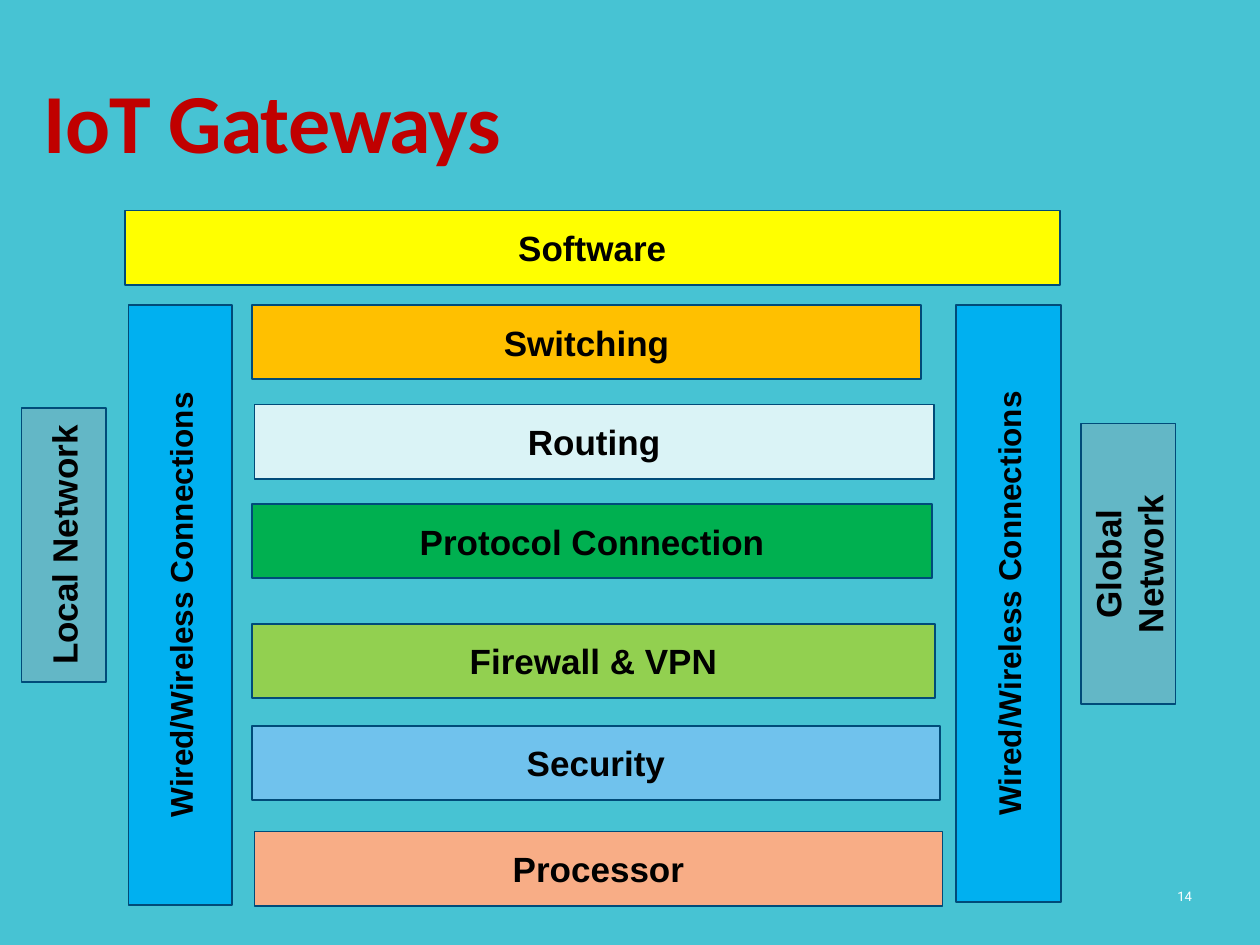
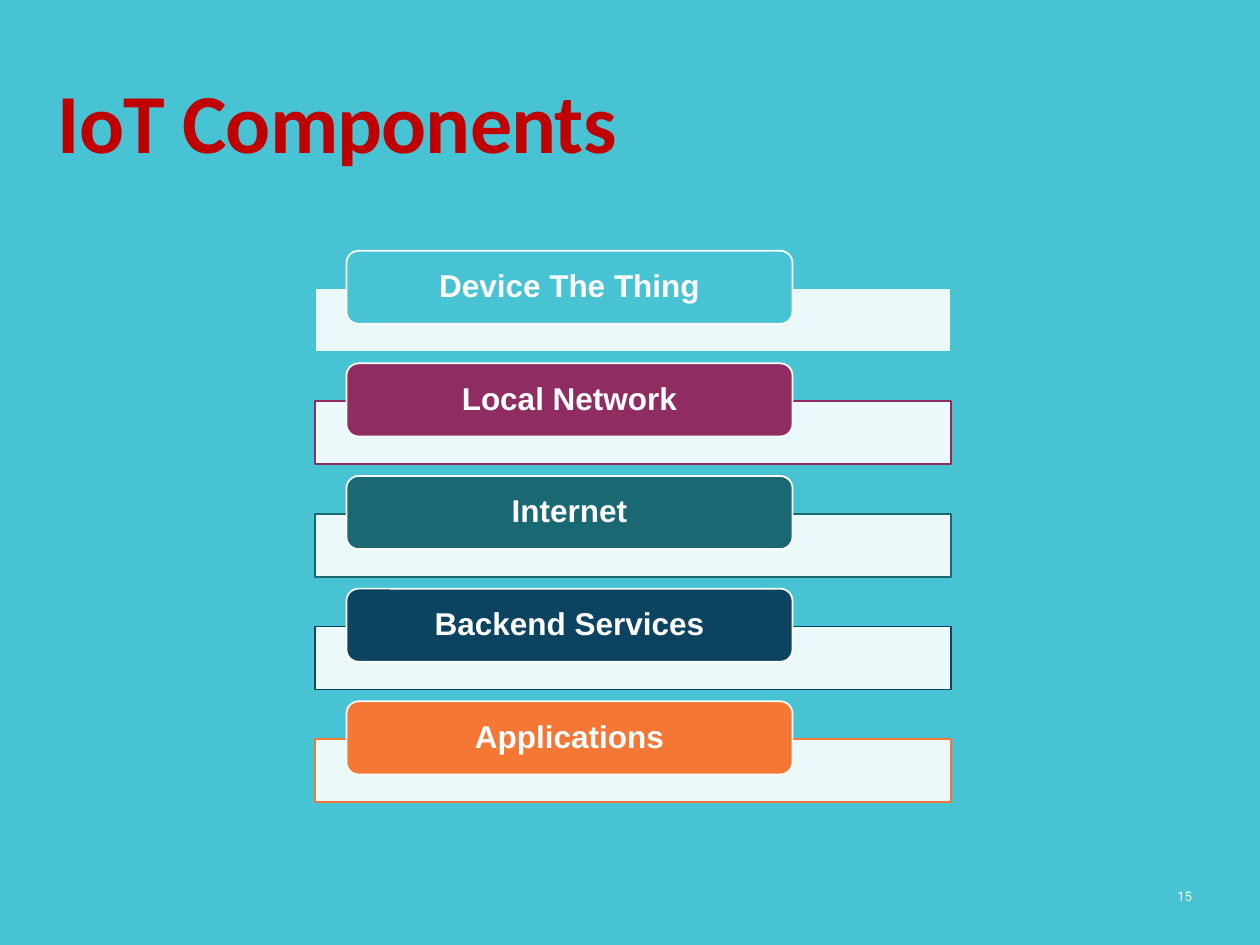
from lxml import etree
from pptx import Presentation
from pptx.dml.color import RGBColor
from pptx.enum.shapes import MSO_SHAPE
from pptx.enum.text import MSO_ANCHOR, PP_ALIGN
from pptx.oxml.ns import qn
from pptx.util import Inches, Pt

RECTANGLE, ROUNDED = MSO_SHAPE.RECTANGLE, MSO_SHAPE.ROUNDED_RECTANGLE
LEFT, CENTER, RIGHT = PP_ALIGN.LEFT, PP_ALIGN.CENTER, PP_ALIGN.RIGHT
TOP, MIDDLE = MSO_ANCHOR.TOP, MSO_ANCHOR.MIDDLE

# The slide is a grid of 10 columns by 7.5 rows of square cells.
COLUMNS, ROWS = 10, 7.5
CELL = Inches(1)

COLORS = {
    "background": "47C3D3", "title": "C00000", "white": "FFFFFF",
    "black": "000000", "outline": "004B79", "network": "63B7C6",
    "connection": "00B0F0", "yellow": "FFFF00", "amber": "FFC000",
    "ice": "DAF3F6", "green": "00B050", "lime": "92D050",
    "sky": "70C2ED", "peach": "F8AD86", "plum": "8F2D63",
    "teal": "1A6871", "navy": "0C4360", "orange": "F47735",
}

# Label, fill, column, row, width
GATEWAY_LAYERS = [
    ("Software", "yellow", 0.99, 1.67, 7.42),
    ("Switching", "amber", 2, 2.42, 5.31),
    ("Routing", "ice", 2.02, 3.21, 5.39),
    ("Protocol Connection", "green", 2, 4, 5.4),
    ("Firewall & VPN", "lime", 2, 4.95, 5.42),
    ("Security", "sky", 2, 5.76, 5.46),
    ("Processor", "peach", 2.02, 6.6, 5.46),
]
LAYER_HEIGHT = 0.59

# Label, fill, text size, upright area (column, row, width, height)
GATEWAY_SIDES = [
    ("Local Network", "network", 20, (0.17, 3.24, 0.67, 2.17)),
    ("Wired/Wireless Connections", "connection", 18, (1.02, 2.42, 0.82, 4.76)),
    ("Wired/Wireless Connections", "connection", 18, (7.59, 2.42, 0.83, 4.74)),
    ("Global Network", "network", 20, (8.58, 3.36, 0.75, 2.23)),
]

COMPONENTS = [
    ("Device The Thing", "background"),
    ("Local Network", "plum"),
    ("Internet", "teal"),
    ("Backend Services", "navy"),
    ("Applications", "orange"),
]
COMPONENT_TOP, COMPONENT_STEP = 1.99, 0.894


def color(name):
    return RGBColor.from_string(COLORS[name])


def grid(*lengths):
    return [round(length * CELL) for length in lengths]


def write(shape, text, size, ink="black", font="Arial", bold=True, align=CENTER,
          anchor=MIDDLE, line_spacing=None, tracking=None, side_margin=0.1):
    frame = shape.text_frame
    frame.word_wrap = True
    frame.vertical_anchor = anchor
    frame.margin_left = frame.margin_right = Inches(side_margin)
    para = frame.paragraphs[0]
    para.alignment = align
    para.line_spacing = line_spacing
    span = para.add_run()
    span.text = text
    span.font.name, span.font.size, span.font.bold = font, Pt(size), bold
    span.font.color.rgb = color(ink)
    if tracking is not None:
        span._r.get_or_add_rPr().set("spc", str(round(tracking * 100)))


def add_text(page, area, text, size, **style):
    write(page.shapes.add_textbox(*grid(*area)), text, size, **style)


def add_block(page, area, fill, outline="outline", kind=RECTANGLE, opacity=None):
    block = page.shapes.add_shape(kind, *grid(*area))
    block.shadow.inherit = False
    block.fill.solid()
    block.fill.fore_color.rgb = color(fill)
    block.line.color.rgb = color(outline)
    block.line.width = Pt(1)
    if opacity is not None:
        tint = block._element.spPr.find(qn("a:solidFill"))[0]
        etree.SubElement(tint, qn("a:alpha")).set("val", str(opacity * 1000))
    return block


def add_upright_block(page, area, fill, text, size):
    """Add a block whose text reads upwards, inside the given upright area."""
    column, row, width, height = area
    shift = (height - width) / 2
    block = add_block(page, (column - shift, row + shift, height, width), fill)
    block.rotation = 270
    write(block, text, size)


def add_page(deck, title, number, title_column):
    page = deck.slides.add_slide(deck.slide_layouts[6])
    page.background.fill.solid()
    page.background.fill.fore_color.rgb = color("background")
    add_text(page, (title_column, 0.59, 9.2, 0.91), title, 48, ink="title",
             font="Calibri", align=LEFT, anchor=TOP, line_spacing=0.9, tracking=-0.5)
    add_text(page, (9.13, 6.91, 0.43, 0.4), str(number), 7.5, ink="white",
             font="Roboto", bold=False, align=RIGHT)
    return page


def add_gateways(deck):
    page = add_page(deck, "IoT Gateways", 14, 0.25)
    for label, fill, column, row, width in GATEWAY_LAYERS:
        layer = add_block(page, (column, row, width, LAYER_HEIGHT), fill)
        write(layer, label, 20)
    for label, fill, size, area in GATEWAY_SIDES:
        add_upright_block(page, area, fill, label, size)


def add_components(deck):
    page = add_page(deck, "IoT Components", 15, 0.36)
    for index, (label, accent) in enumerate(COMPONENTS):
        top = COMPONENT_TOP + index * COMPONENT_STEP
        add_block(page, (2.5, top + 0.3, 5.05, 0.5), "white", accent, opacity=90)
        tab = add_block(page, (2.75, top, 3.54, 0.58), accent, "white", ROUNDED)
        write(tab, label, 18, ink="white", line_spacing=0.9, side_margin=0.13)


def main():
    deck = Presentation()
    deck.slide_width, deck.slide_height = grid(COLUMNS, ROWS)
    add_gateways(deck)
    add_components(deck)
    deck.save("out.pptx")


if __name__ == "__main__":
    main()
